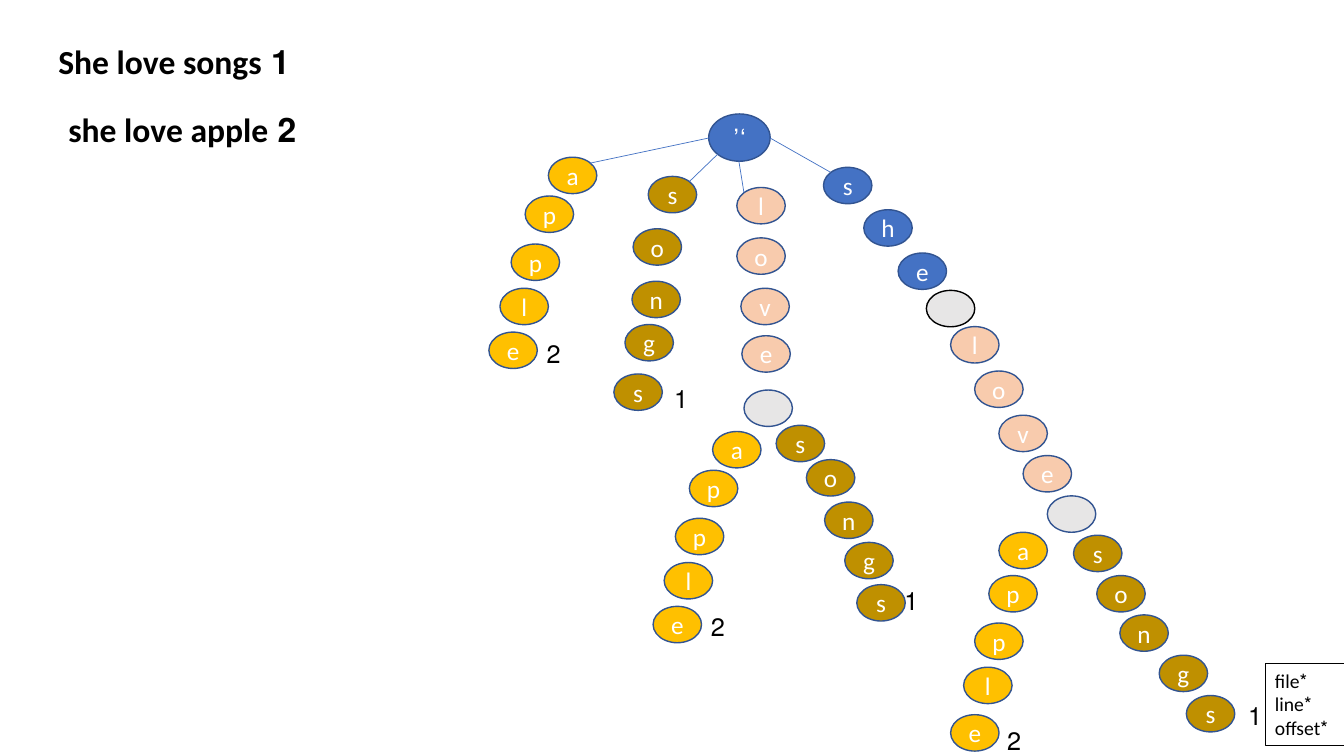
import pptx
import pptx.dml.color
import pptx.enum.shapes
import pptx.enum.text
import pptx.util
from lxml import etree

Pt = pptx.util.Pt
ALIGN = pptx.enum.text.PP_ALIGN
SHAPES = pptx.enum.shapes.MSO_SHAPE

BLUE, GOLD, BROWN, PEACH, GREY = "4472C4", "FFC000", "BF9000", "F8CBAD", "E7E6E6"
OUTLINE, BLACK, WHITE = "325491", "000000", "FFFFFF"
NODE_SIZE = (34.6, 26)

APPLE_STEPS = [(0, 0), (-16.6, 27.7), (-26.6, 62), (-34.6, 93.6), (-42.5, 124.9)]

# Each branch: its letters (a space is an empty node), fill, node positions
BRANCHES = [
    ("she", BLUE, [(588.2, 119.5), (617, 149.8), (641.5, 180.7)]),
    ("love", PEACH, [(679, 233.3), (696.2, 265), (713.5, 296.6), (730.8, 325.4)]),
    (" ", GREY, [(748.1, 354.2)]),
    ("songs", BROWN, [(766.8, 382.3), (783.4, 411.1), (799.9, 439.2), (828, 468), (847.4, 496.8)]),
    ("love", PEACH, [(526.3, 133.9), (526.3, 169.9), (529.2, 205.9), (529.9, 239.8)]),
    (" ", GREY, [(531.4, 278.6)]),
    ("songs", BROWN, [(554.4, 303.8), (576, 328.3), (589, 358.6), (603.4, 387.4), (612, 417.6)]),
    ("songs", BROWN, [(463, 126), (452.2, 163.4), (451.4, 200.9), (446.4, 231.8), (438.5, 267.1)]),
    ("apple", GOLD, [(713.5, 380.2), (706.3, 411.1), (696.2, 445), (688.3, 476.6), (679, 510.5)]),
    ("apple", GOLD, [(509 + dx, 308.2 + dy) for dx, dy in APPLE_STEPS]),
    ("apple", GOLD, [(391.7 + dx, 112.3 + dy) for dx, dy in APPLE_STEPS]),
]

ROOT_LINKS = [
    (550.1, 98.6, 593.3, 123.1),
    (527.8, 115.2, 531.4, 137.5),
    (512.6, 110.2, 492.5, 129.6),
    (421.2, 116.6, 506.2, 98.6),
]

LINE_NUMBERS = [
    ("1", 882, 496.8), ("1", 636.5, 414.7), ("1", 472, 270),
    ("2", 498.2, 433.4), ("2", 709.9, 514.8), ("2", 380.9, 238.3),
]


def color(hex_code):
    return pptx.dml.color.RGBColor.from_string(hex_code)


def write(shape, text, size=18, hue=BLACK, bold=False, align=None):
    """Fill the shape with right-to-left paragraphs, one per line of text."""
    frame = shape.text_frame
    frame.word_wrap = True
    for index, line in enumerate(text.split("\n")):
        paragraph = frame.paragraphs[0] if index == 0 else frame.add_paragraph()
        if align is not None:
            paragraph.alignment = align
        paragraph._p.get_or_add_pPr().set("rtl", "1")
        run = paragraph.add_run()
        run.text = line
        run.font.name = "Calibri"
        run.font.size = Pt(size)
        run.font.bold = bold
        run.font.color.rgb = color(hue)


def add_label(slide, text, left, top, width, height, inset=7.2, **text_format):
    label = slide.shapes.add_textbox(Pt(left), Pt(top), Pt(width), Pt(height))
    label.text_frame.margin_left = Pt(inset)
    write(label, text, **text_format)


def add_node(slide, letter, left, top, fill, size=NODE_SIZE, outline=OUTLINE):
    node = slide.shapes.add_shape(SHAPES.OVAL, Pt(left), Pt(top), Pt(size[0]), Pt(size[1]))
    node.shadow.inherit = False
    node.fill.solid()
    node.fill.fore_color.rgb = color(fill)
    node.line.color.rgb = color(outline)
    node.line.width = Pt(1)
    if letter.strip():
        write(node, letter, hue=WHITE, align=ALIGN.CENTER)


def add_link(slide, x1, y1, x2, y2):
    link = slide.shapes.add_connector(
        pptx.enum.shapes.MSO_CONNECTOR.STRAIGHT, Pt(x1), Pt(y1), Pt(x2), Pt(y2))
    link.line.color.rgb = color(BLUE)
    link.line.width = Pt(0.5)
    etree.SubElement(link._element.spPr, pptx.oxml.ns.qn("a:effectLst"))


def add_record_box(slide):
    record = slide.shapes.add_shape(SHAPES.RECTANGLE, Pt(903.6), Pt(474.2), Pt(56.9), Pt(58.3))
    record.shadow.inherit = False
    record.fill.background()
    record.line.color.rgb = color(BLACK)
    record.line.width = Pt(0.75)
    record.text_frame.vertical_anchor = pptx.enum.text.MSO_ANCHOR.TOP
    write(record, "*file\n*line\n*offset", size=14, align=ALIGN.LEFT)


def main():
    presentation = pptx.Presentation()
    presentation.slide_width = Pt(960)
    presentation.slide_height = Pt(540)
    slide = presentation.slides.add_slide(presentation.slide_layouts[6])

    add_node(slide, "‘’", 506.2, 81.4, BLUE, size=(43.9, 33.8))
    for word, fill, places in BRANCHES:
        for letter, (left, top) in zip(word, places):
            add_node(slide, letter, left, top, fill)
    add_node(slide, " ", 661.7, 207.4, GREY, outline=BLACK)

    for ends in ROOT_LINKS:
        add_link(slide, *ends)
    for number, left, top in LINE_NUMBERS:
        add_label(slide, number, left, top, 26.6, 28.8, align=ALIGN.RIGHT)

    add_label(slide, "1 She love songs", 34.6, 25.9, 244, 36, size=24, bold=True)
    add_label(slide, "2 she love apple", 34.6, 74.2, 244, 36, inset=14.2, size=24, bold=True)
    add_record_box(slide)
    presentation.save("out.pptx")


if __name__ == "__main__":
    main()
